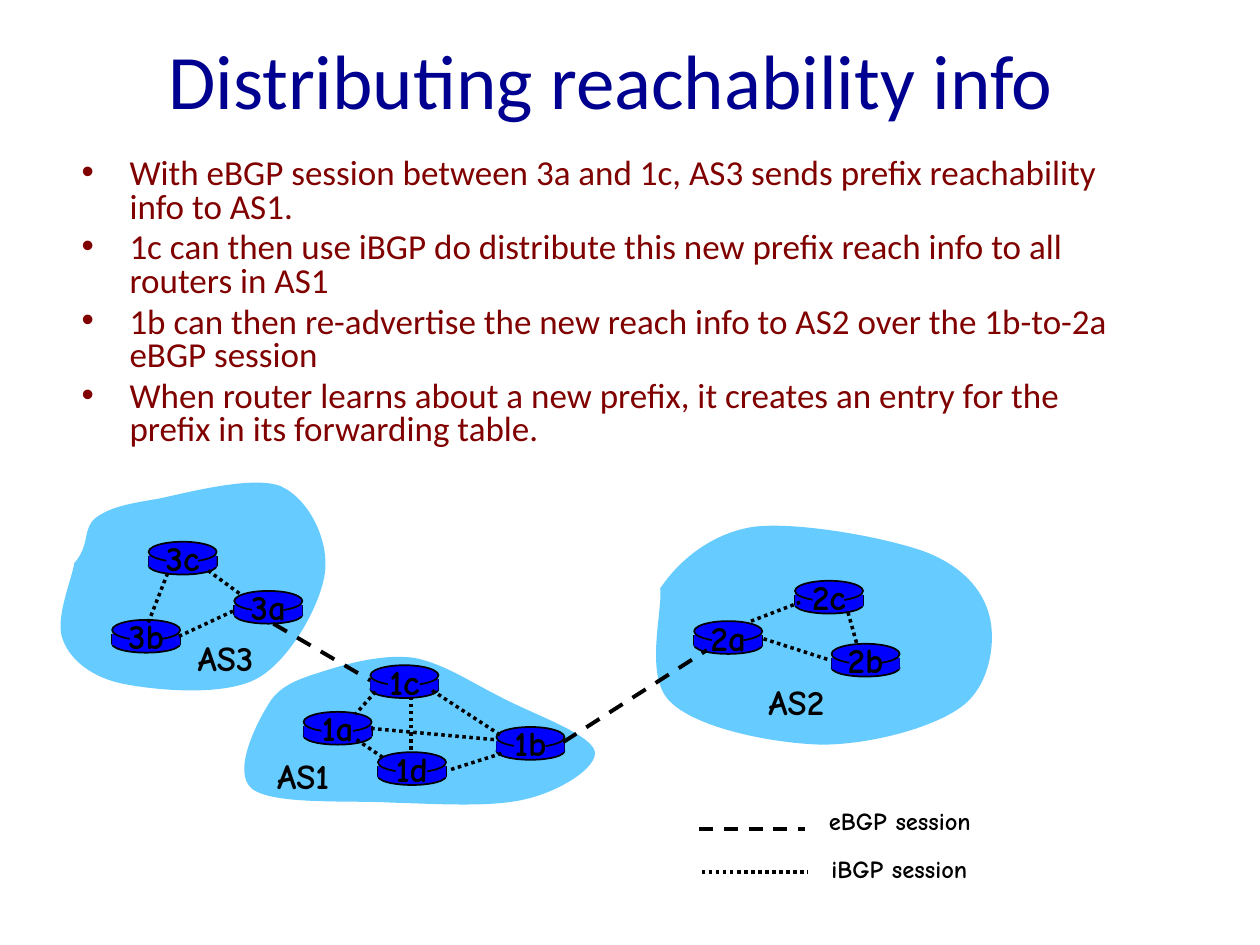
from lxml import etree
from pptx import Presentation
from pptx.dml.color import RGBColor
from pptx.enum.dml import MSO_LINE
from pptx.enum.shapes import MSO_CONNECTOR, MSO_SHAPE
from pptx.enum.text import MSO_ANCHOR, PP_ALIGN
from pptx.oxml.ns import qn
from pptx.util import Inches, Pt

OVAL, RECT = MSO_SHAPE.OVAL, MSO_SHAPE.RECTANGLE
STRAIGHT = MSO_CONNECTOR.STRAIGHT
DOT, DASH = MSO_LINE.ROUND_DOT, MSO_LINE.DASH
MIDDLE, TOP = MSO_ANCHOR.MIDDLE, MSO_ANCHOR.TOP
CENTER, LEFT = PP_ALIGN.CENTER, PP_ALIGN.LEFT
BLACK, BLUE, SKY = "000000", "0000FF", "66CCFF"
NAVY, MAROON = "000090", "800000"
HAND = "Comic Neue"
DISK = 0.54

BULLETS = [
    "With eBGP session between 3a and 1c, AS3 sends prefix reachability info to AS1.",
    "1c can then use iBGP do distribute this new prefix reach info to all routers in AS1",
    "1b can then re-advertise the new reach info to AS2 over the 1b-to-2a eBGP session",
    "When router learns about a new prefix, it creates an entry for the prefix in its forwarding table.",
]

AREAS = [
    dict(
        name="AS2", left=5.11, top=4.14, tag=(0.89, 1.21, 0.71), start=(0.13, 0.53),
        curves=[
            (0.27, 0.32, 0.53, 0.09, 0.88, 0.04), (1.24, 0, 1.95, 0.13, 2.26, 0.25),
            (2.57, 0.38, 2.71, 0.58, 2.75, 0.78), (2.79, 0.98, 2.74, 1.31, 2.52, 1.47),
            (2.29, 1.64, 1.79, 1.77, 1.41, 1.77), (1.02, 1.76, 0.42, 1.64, 0.21, 1.43),
            (0, 1.23, 0.15, 0.72, 0.13, 0.53)],
        nodes={"2a": (0.4, 0.91), "2c": (1.2, 0.59), "2b": (1.49, 1.09)},
        links=[(0.95, 0.93, 1.48, 1.1), (0.85, 0.79, 1.24, 0.64), (1.62, 0.72, 1.69, 0.97)]),
    dict(
        name="AS3", left=0.43, top=3.77, tag=(1.04, 1.23, 0.77), start=(0.16, 0.7),
        curves=[
            (0.29, 0.55, 0.22, 0.43, 0.33, 0.34), (0.44, 0.26, 0.57, 0.23, 0.82, 0.19),
            (1.06, 0.14, 1.58, 0, 1.8, 0.09), (2.02, 0.19, 2.18, 0.51, 2.15, 0.77),
            (2.12, 1.02, 1.88, 1.46, 1.62, 1.61), (1.36, 1.76, 0.82, 1.71, 0.56, 1.66),
            (0.3, 1.61, 0.13, 1.47, 0.07, 1.31), (0, 1.15, 0.14, 0.83, 0.16, 0.7)],
        nodes={"3b": (0.46, 1.27), "3a": (1.43, 1.04), "3c": (0.75, 0.65)},
        links=[(0.99, 1.28, 1.42, 1.08), (1.47, 0.94, 1.21, 0.75), (0.9, 0.78, 0.74, 1.19)]),
    dict(
        name="AS1", left=1.84, top=5.19, tag=(0.26, 0.75, 0.72), start=(0.29, 0.4),
        curves=[
            (0.38, 0.24, 0.56, 0.19, 0.75, 0.13), (0.94, 0.07, 1.21, 0, 1.44, 0.03),
            (1.67, 0.07, 1.89, 0.22, 2.13, 0.34), (2.37, 0.47, 2.84, 0.63, 2.88, 0.77),
            (2.91, 0.9, 2.6, 1.09, 2.34, 1.15), (2.07, 1.22, 1.63, 1.19, 1.27, 1.18),
            (0.91, 1.16, 0.33, 1.2, 0.16, 1.07), (0, 0.94, 0.19, 0.56, 0.29, 0.4)],
        nodes={"1d": (1.16, 0.9), "1c": (1.1, 0.21), "1a": (0.57, 0.58), "1b": (2.1, 0.7)},
        links=[(1.14, 0.3, 0.98, 0.48), (1.42, 0.34, 1.42, 0.77), (1.59, 0.29, 2.14, 0.65),
               (2.14, 0.79, 1.73, 0.92), (2.08, 0.68, 1.09, 0.59), (0.99, 0.68, 1.21, 0.83)]),
]


def color(text):
    """Turn a hex string into a colour."""
    return RGBColor.from_string(text)


def write(shape, lines, size=20, font=HAND, ink=BLACK, bold=False,
          align=CENTER, anchor=TOP, wrap=False, bullet=False):
    """Fill a shape with formatted paragraphs."""
    frame = shape.text_frame
    frame.word_wrap = wrap
    frame.vertical_anchor = anchor
    for i, line in enumerate(lines):
        para = frame.add_paragraph() if i else frame.paragraphs[0]
        para.text = line
        para.alignment = align
        if bullet:
            para.line_spacing = 0.8
            para.space_before = Pt(4 if i else 0)
            props = para._p.get_or_add_pPr()
            props.set("marL", str(Inches(0.38)))
            props.set("indent", str(Inches(-0.38)))
            etree.SubElement(props, qn("a:buFont")).set("typeface", "Arial")
            etree.SubElement(props, qn("a:buChar")).set("char", "•")
        style = para.font
        style.name, style.size, style.bold = font, Pt(size), bold
        style.color.rgb = color(ink)


def label(slide, text, left, top, width, height=0.43, **style):
    """Add a bold hand-lettered label."""
    box = slide.shapes.add_textbox(*map(Inches, (left, top, width, height)))
    write(box, [text], bold=True, **style)


def link(slide, x1, y1, x2, y2, width=2, dash=None):
    """Draw a straight black line."""
    line = slide.shapes.add_connector(STRAIGHT, *map(Inches, (x1, y1, x2, y2)))
    line.line.color.rgb = color(BLACK)
    line.line.width = Pt(width)
    if dash:
        line.line.dash_style = dash
    etree.SubElement(line._element.spPr, qn("a:effectLst"))


def block(slide, kind, left, top, width, height, edge=False):
    """Add one blue part of a router."""
    part = slide.shapes.add_shape(kind, *map(Inches, (left, top, width, height)))
    part.shadow.inherit = False
    part.fill.solid()
    part.fill.fore_color.rgb = color(BLUE)
    if edge:
        part.line.color.rgb = color(BLACK)
        part.line.width = Pt(1)
    else:
        part.line.fill.background()


def router(slide, name, left, top):
    """Build a labelled disk whose base oval starts at left, top."""
    block(slide, OVAL, left, top, DISK, 0.14, edge=True)
    for side in (left, left + DISK):
        link(slide, side, top - 0.01, side, top + 0.07, width=1)
    block(slide, RECT, left, top - 0.01, DISK, 0.09)
    block(slide, OVAL, left, top - 0.12, DISK, 0.16, edge=True)
    block(slide, RECT, left + 0.14, top - 0.1, 0.25, 0.21)
    label(slide, name, left, top - 0.21, DISK)


def cloud(slide, left, top, start, curves):
    """Draw a smooth blob from cubic curves."""
    pen = slide.shapes.build_freeform(Inches(left + start[0]), Inches(top + start[1]))
    pen.add_line_segments([(Inches(left + x), Inches(top + y))
                           for curve in curves
                           for x, y in zip(curve[::2], curve[1::2])], close=True)
    blob = pen.convert_to_shape()
    steps = list(blob._element.iter(qn("a:lnTo")))
    for trio in zip(steps[::3], steps[1::3], steps[2::3]):
        bend = etree.Element(qn("a:cubicBezTo"))
        trio[0].addprevious(bend)
        for step in trio:
            bend.append(step[0])
            step.getparent().remove(step)
    blob.shadow.inherit = False
    blob.fill.solid()
    blob.fill.fore_color.rgb = color(SKY)
    blob.line.fill.background()


def area(slide, name, left, top, tag, start, curves, nodes, links):
    """Build one autonomous system with its routers and sessions."""
    cloud(slide, left, top, start, curves)
    for node, (x, y) in nodes.items():
        router(slide, node, left + x, top + y)
    for x1, y1, x2, y2 in links:
        link(slide, left + x1, top + y1, left + x2, top + y2, dash=DOT)
    x, y, width = tag
    label(slide, name, left + x, top + y, width, align=LEFT)


def legend(slide, left, top):
    """Explain the two line styles."""
    rows = [("eBGP session", DASH, 0, 0.23), ("iBGP session", DOT, 0.02, 0.57)]
    for i, (text, dash, shift, y) in enumerate(rows):
        x = left + shift
        link(slide, x, top + y, x + 0.84, top + y, dash=dash)
        label(slide, text, x + 0.93, top + 0.38 * i, 1.35, 0.33, size=14, align=LEFT)


def heading(slide, left, top, width, height):
    """Place the slide title."""
    title = slide.shapes.title
    title.left, title.top = Inches(left), Inches(top)
    title.width, title.height = Inches(width), Inches(height)
    write(title, ["Distributing reachability info"], size=44, font="Calibri",
          ink=NAVY, anchor=MIDDLE, wrap=True)


def body(slide, left, top, width, height):
    """Place the bullet list."""
    box = slide.shapes.add_textbox(*map(Inches, (left, top, width, height)))
    write(box, BULLETS, font="Calibri", ink=MAROON, align=LEFT, wrap=True, bullet=True)


def main():
    """Build and save the slide."""
    deck = Presentation()
    deck.slide_width, deck.slide_height = Inches(10), Inches(7.5)
    slide = deck.slides.add_slide(deck.slide_layouts[5])
    heading(slide, 0.6, 0, 8.5, 1.25)
    body(slide, 0.55, 1.21, 8.5, 2.59)
    for part in AREAS:
        area(slide, **part)
    link(slide, 2.17, 4.95, 2.94, 5.4, width=2.25, dash=DASH)
    link(slide, 4.47, 5.89, 5.61, 5.16, width=2.25, dash=DASH)
    legend(slide, 5.55, 6.35)
    deck.save("out.pptx")


if __name__ == "__main__":
    main()
